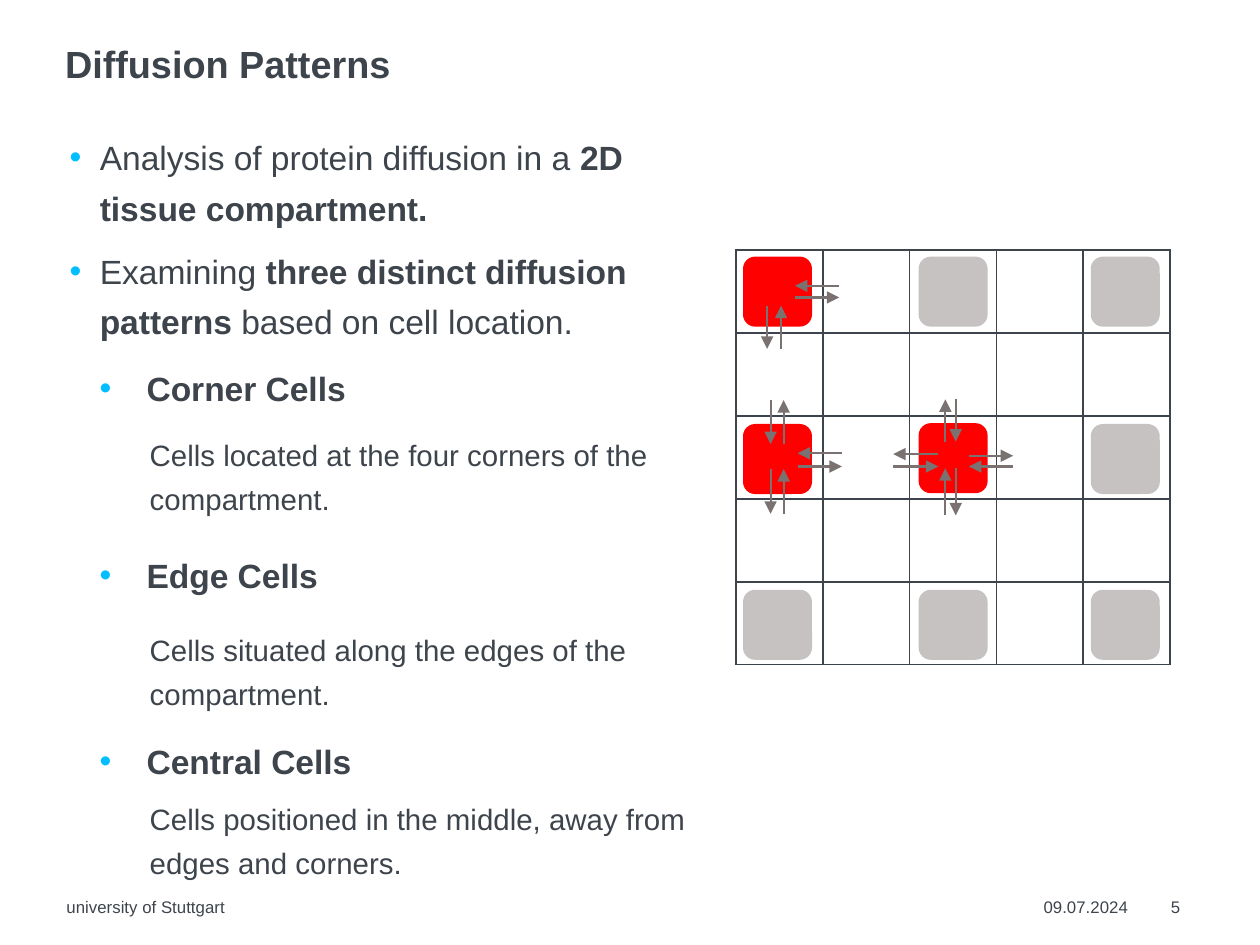
import dataclasses
import typing

import pptx
import pptx.dml.color
import pptx.enum.shapes
import pptx.enum.text
import pptx.oxml
import pptx.oxml.ns
import pptx.util

RGBColor = pptx.dml.color.RGBColor
INK = RGBColor(0x3E, 0x44, 0x4C)
BULLET = RGBColor(0x00, 0xBE, 0xFF)
ACTIVE = RGBColor(0xFF, 0x00, 0x00)
IDLE = RGBColor(0xC5, 0xC2, 0xC1)
ARROW = RGBColor(0x79, 0x72, 0x71)
WHITE = RGBColor(0xFF, 0xFF, 0xFF)

WIDTH, HEIGHT = pptx.util.Inches(8.33), pptx.util.Inches(6.25)
NS = pptx.oxml.ns.nsdecls("a")
LINE_PT = pptx.util.Pt(1)
GRID_SIZE = 5


def across(percent: float) -> int:
    return round(WIDTH * percent / 100)


def down(percent: float) -> int:
    return round(HEIGHT * percent / 100)


# Tissue grid: origin and cell size as shares of the slide
GRID_LEFT, GRID_TOP = across(58.4), down(26.48)
COL, ROW = across(6.9), down(8.77)


@dataclasses.dataclass(frozen=True)
class Box:
    """Position and size in percent of the slide."""
    left: float
    top: float
    width: float
    height: float


@dataclasses.dataclass(frozen=True)
class Run:
    text: str
    bold: bool = False


@dataclasses.dataclass(frozen=True)
class Style:
    size: int
    spacing: float = 1.25
    gap: float = 0
    hang: float = 0
    anchor: typing.Any = pptx.enum.text.MSO_ANCHOR.TOP


@dataclasses.dataclass(frozen=True)
class ArrowPair:
    """Exchange with a neighbour; offsets from the card centre in cells."""
    dx: int
    dy: int
    near: float
    far: float
    out: float
    back: float


@dataclasses.dataclass(frozen=True)
class Card:
    """Biological cell, centred at a column and row of the tissue grid."""
    col: float
    row: float
    pairs: tuple[ArrowPair, ...] = ()


TITLE = Style(18, spacing=0.9, anchor=pptx.enum.text.MSO_ANCHOR.MIDDLE)
POINTS = Style(16, gap=6.2, hang=0.2)
HEADINGS = Style(16, gap=64.8, hang=0.31)
DETAIL = Style(14)
FOOTER = Style(8, spacing=1)

INTRO = [
    [Run("Analysis of protein diffusion in a "), Run("2D tissue compartment.", True)],
    [Run("Examining "), Run("three distinct diffusion patterns", True),
     Run(" based on cell location.")],
]
PATTERNS = ["Corner Cells", "Edge Cells", "Central Cells"]
TEXTS = [
    (Box(11.88, 45.28, 40.8, 8.64), DETAIL,
     "Cells located at the four corners of the compartment."),
    (Box(11.88, 65.92, 40.8, 8.64), DETAIL,
     "Cells situated along the edges of the compartment."),
    (Box(11.88, 83.84, 47.4, 8.64), DETAIL,
     "Cells positioned in the middle, away from edges and corners."),
    (Box(5.28, 94.88, 66.15, 2.08), FOOTER, "university of Stuttgart"),
    (Box(82.83, 94.88, 7.92, 2.08), FOOTER, "09.07.2024"),
    (Box(92.92, 94.88, 2.88, 2.08), FOOTER, "5"),
]

FIRST, MIDDLE, LAST = 0.48, 2.5, 4.48
CARDS = [
    Card(FIRST, 0.5, (ArrowPair(1, 0, 0.2, 0.71, 0.07, -0.07),
                      ArrowPair(0, 1, 0.17, 0.69, -0.12, 0.04))),
    Card(MIDDLE, 0.5), Card(LAST, 0.5),
    Card(FIRST, 2.52, (ArrowPair(1, 0, 0.23, 0.74, 0.09, -0.07),
                       ArrowPair(0, -1, 0.18, 0.71, 0.07, -0.08),
                       ArrowPair(0, 1, 0.12, 0.66, -0.08, 0.07))),
    Card(MIDDLE, 2.51, (ArrowPair(-1, 0, 0.17, 0.69, -0.05, 0.1),
                        ArrowPair(1, 0, 0.18, 0.69, -0.03, 0.1),
                        ArrowPair(0, -1, 0.2, 0.71, -0.09, 0.03),
                        ArrowPair(0, 1, 0.12, 0.69, 0.03, -0.09))),
    Card(LAST, 2.52),
    Card(FIRST, 4.52), Card(MIDDLE, 4.52), Card(LAST, 4.52),
]


def set_all(obj: typing.Any, values: dict[str, typing.Any]) -> None:
    for name, value in values.items():
        setattr(obj, name, value)


def write(sp: typing.Any, box: Box, style: Style, paragraphs: list[list[Run]]) -> None:
    set_all(sp, {"left": across(box.left), "top": down(box.top),
                 "width": across(box.width), "height": down(box.height)})
    tf = sp.text_frame
    set_all(tf, {"margin_left": 0, "margin_top": 0, "margin_right": 0,
                 "margin_bottom": 0, "word_wrap": True,
                 "auto_size": pptx.enum.text.MSO_AUTO_SIZE.NONE,
                 "vertical_anchor": style.anchor})
    for i, runs in enumerate(paragraphs):
        p = tf.add_paragraph() if i else tf.paragraphs[0]
        set_all(p, {"alignment": pptx.enum.text.PP_ALIGN.LEFT,
                    "line_spacing": style.spacing,
                    "space_before": pptx.util.Pt(style.gap if i else 0)})
        if style.hang:
            add_bullet(p, pptx.util.Inches(style.hang))
        for run in runs:
            r = p.add_run()
            r.text = run.text
            set_all(r.font, {"name": "Arial", "size": pptx.util.Pt(style.size),
                             "bold": run.bold})
            r.font.color.rgb = INK


def add_bullet(p: typing.Any, hang: int) -> None:
    pPr = p._p.get_or_add_pPr()
    pPr.set("marL", str(hang))
    pPr.set("indent", str(-hang))
    for xml in (f'<a:buClr {NS}><a:srgbClr val="{BULLET}"/></a:buClr>',
                f'<a:buFont {NS} typeface="Arial"/>',
                f'<a:buChar {NS} char="•"/>'):
        pPr.append(pptx.oxml.parse_xml(xml))


def add_grid(shapes: typing.Any) -> None:
    table = shapes.add_table(GRID_SIZE, GRID_SIZE, GRID_LEFT, GRID_TOP,
                             GRID_SIZE * COL, GRID_SIZE * ROW).table
    set_all(table, {"first_row": False, "horz_banding": False})
    for column in table.columns:
        column.width = COL
    for row in table.rows:
        row.height = ROW
    for cell in table.iter_cells():
        tcPr = cell._tc.get_or_add_tcPr()
        for side in "LRTB":
            tcPr.append(pptx.oxml.parse_xml(
                f'<a:ln{side} {NS} w="{LINE_PT}"><a:solidFill>'
                f'<a:srgbClr val="{INK}"/></a:solidFill></a:ln{side}>'))
        cell.fill.solid()
        cell.fill.fore_color.rgb = WHITE


def add_card(shapes: typing.Any, card: Card) -> None:
    width, height = 0.77, 0.82
    sp = shapes.add_shape(
        pptx.enum.shapes.MSO_SHAPE.FLOWCHART_ALTERNATE_PROCESS,
        round(GRID_LEFT + (card.col - width / 2) * COL),
        round(GRID_TOP + (card.row - height / 2) * ROW),
        round(width * COL), round(height * ROW))
    sp.shadow.inherit = False
    color = ACTIVE if card.pairs else IDLE
    sp.fill.solid()
    sp.fill.fore_color.rgb = color
    sp.line.color.rgb = color
    sp.line.width = LINE_PT


def add_arrow(shapes: typing.Any, card: Card, pair: ArrowPair,
              start: float, end: float, offset: float) -> None:
    ends = []
    for reach in (start, end):
        col = card.col + (pair.dx * reach or offset)
        row = card.row + (pair.dy * reach or offset)
        ends += [round(GRID_LEFT + col * COL), round(GRID_TOP + row * ROW)]
    line = shapes.add_connector(pptx.enum.shapes.MSO_CONNECTOR.STRAIGHT, *ends)
    line.line.color.rgb = ARROW
    line.line.width = LINE_PT
    line.line._get_or_add_ln().append(
        pptx.oxml.parse_xml(f'<a:tailEnd {NS} type="triangle"/>'))
    line._element.spPr.append(pptx.oxml.parse_xml(f'<a:effectLst {NS}/>'))


def main() -> None:
    prs = pptx.Presentation()
    prs.slide_width, prs.slide_height = WIDTH, HEIGHT
    s = prs.slides.add_slide(prs.slide_layouts[1])

    # Title, list and texts
    write(s.shapes.title, Box(5.16, 4.64, 89.8, 4.8), TITLE,
          [[Run("Diffusion Patterns", True)]])
    write(s.placeholders[1], Box(5.52, 13.44, 51.62, 28), POINTS, INTRO)
    write(s.shapes.add_textbox(0, 0, 0, 0), Box(7.92, 37.92, 40.22, 44.8), HEADINGS,
          [[Run(name, True)] for name in PATTERNS])
    for box, style, text in TEXTS:
        write(s.shapes.add_textbox(0, 0, 0, 0), box, style, [[Run(text)]])

    # Tissue compartment with its cells and exchange arrows
    add_grid(s.shapes)
    for card in CARDS:
        add_card(s.shapes, card)
        for pair in card.pairs:
            add_arrow(s.shapes, card, pair, pair.near, pair.far, pair.out)
            add_arrow(s.shapes, card, pair, pair.far, pair.near, pair.back)

    prs.save("out.pptx")


if __name__ == "__main__":
    main()
